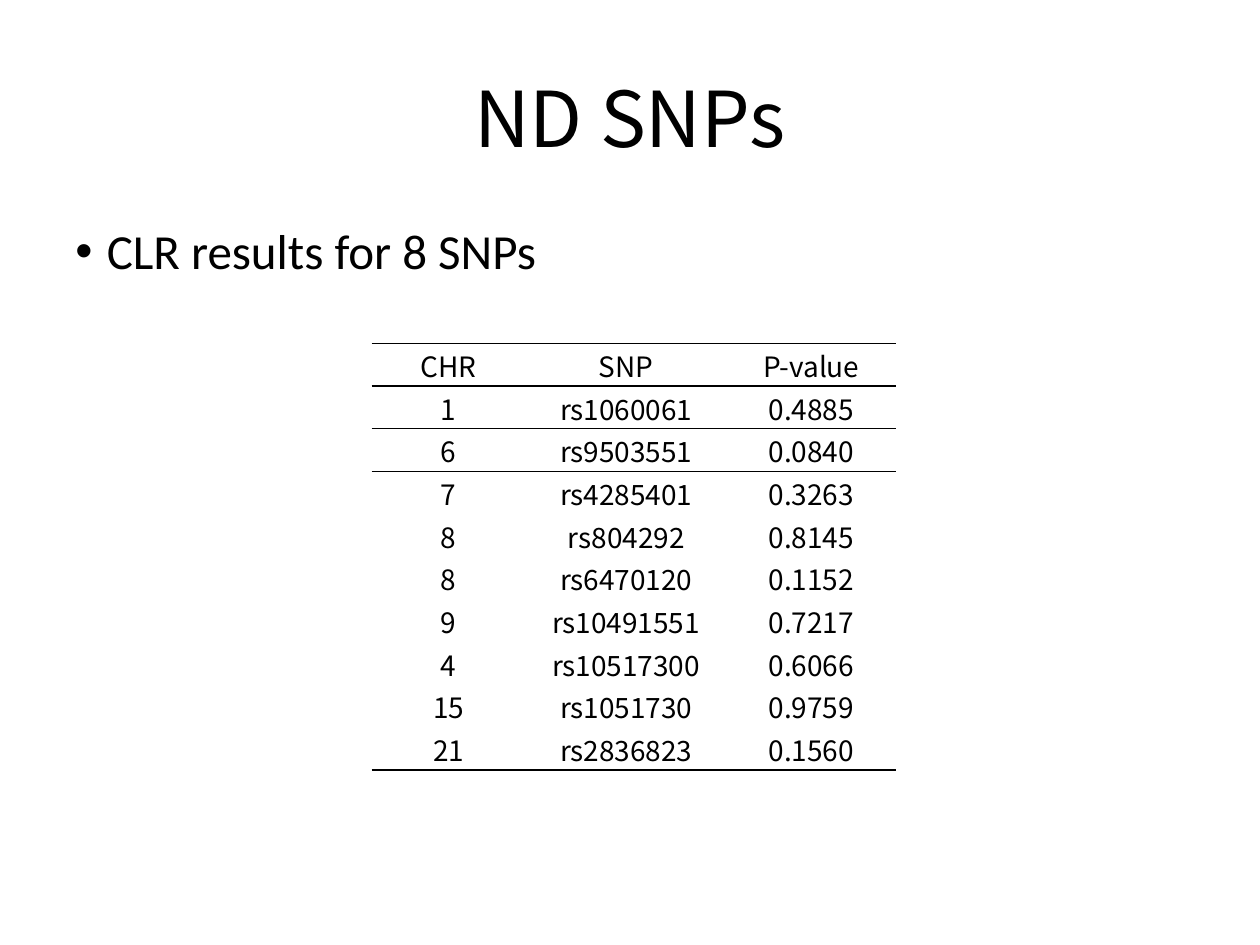
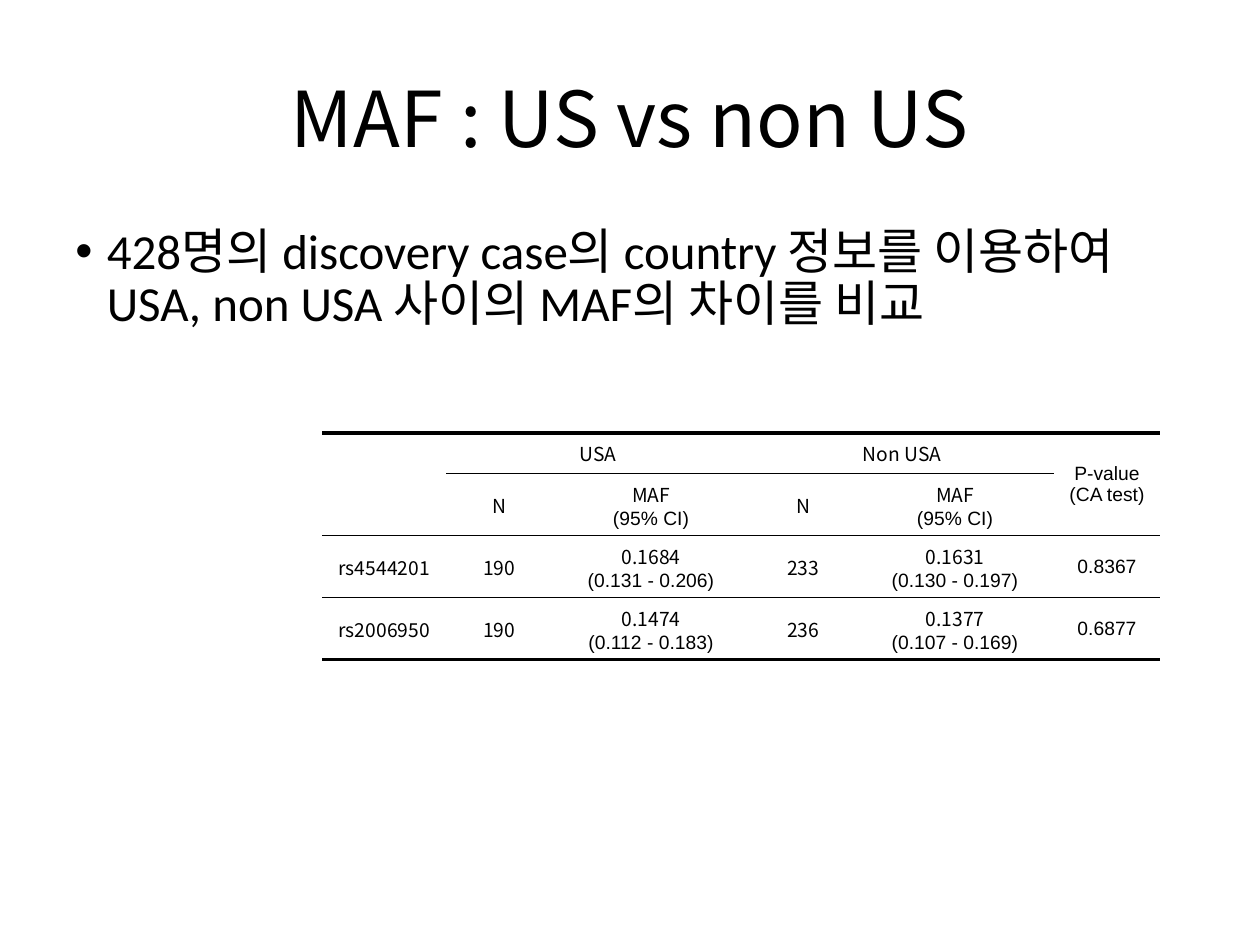
from dataclasses import dataclass

from lxml import etree
from pptx import Presentation
from pptx import util as u
from pptx.dml import color
from pptx.enum import text as t
from pptx.oxml import ns


@dataclass(frozen=True)
class Theme:
    ink: str = "000000"
    heading_font: str = "Noto Sans CJK KR"
    body_font: str = "Calibri"
    detail_font: str = "Arial"
    title_size: float = 44
    body_size: float = 28
    thin: float = 1
    thick: float = 2.25


@dataclass(frozen=True)
class Box:
    left: float
    top: float
    width: float
    height: float

    def lengths(self) -> tuple:
        return tuple(u.Pt(n) for n in (self.left, self.top, self.width, self.height))


@dataclass(frozen=True)
class Rule:
    """Horizontal line above row `edge`, over columns first to last (end excluded)."""
    edge: int
    width: float
    first: int = 0
    last: int = 99


@dataclass(frozen=True)
class Grid:
    left: float
    top: float
    columns: tuple
    heights: tuple
    size: float
    insets: tuple  # left, top, right, bottom
    rows: tuple
    rules: tuple
    merges: tuple = ()
    detail_columns: tuple = ()


THEME = Theme()
TITLE_BOX = Box(36, 21.6, 648, 90)
BODY_BOX = Box(36, 126, 648, 356.4)
BULLET_INDENT = 18
NO_TABLE_STYLE = "{2D5ABB26-0587-4C30-8999-92F81FD0307C}"

SNP_RESULTS = Grid(
    left=212.4, top=196.2, columns=(87.8, 115.2, 96.5), heights=(24.4,) * 10,
    size=16, insets=(0.72, 0.72, 0.72, 0),
    rows=(
        ("CHR", "SNP", "P-value"),
        ("1", "rs1060061", "0.4885"),
        ("6", "rs9503551", "0.0840"),
        ("7", "rs4285401", "0.3263"),
        ("8", "rs804292", "0.8145"),
        ("8", "rs6470120", "0.1152"),
        ("9", "rs10491551", "0.7217"),
        ("4", "rs10517300", "0.6066"),
        ("15", "rs1051730", "0.9759"),
        ("21", "rs2836823", "0.1560"),
    ),
    rules=tuple(Rule(edge, THEME.thin) for edge in (0, 1, 2, 10)),
)

MAF_COMPARISON = Grid(
    left=184.2, top=247.5, columns=(70.8, 60.5, 113.2, 60.5, 113.2, 60.5),
    heights=(22.9, 35.4, 35.4, 35.4), size=11, insets=(7.2, 3.6, 7.2, 3.6),
    rows=(
        ("", "USA", "", "Non USA", "", "P-value\n(CA test)"),
        ("", "N", "MAF\n(95% CI)", "N", "MAF\n(95% CI)", ""),
        ("rs4544201", "190", "0.1684\n(0.131 - 0.206)",
         "233", "0.1631\n(0.130 - 0.197)", "0.8367"),
        ("rs2006950", "190", "0.1474\n(0.112 - 0.183)",
         "236", "0.1377\n(0.107 - 0.169)", "0.6877"),
    ),
    rules=(Rule(0, THEME.thick), Rule(1, THEME.thin, 1, 5), Rule(2, THEME.thin),
           Rule(3, THEME.thin), Rule(4, THEME.thick)),
    merges=((0, 0, 1, 0), (0, 1, 0, 2), (0, 3, 0, 4), (0, 5, 1, 5)),
    detail_columns=(5,),
)


def write(paragraph, words: str, *, size: float, font: str,
          align=t.PP_ALIGN.CENTER) -> None:
    """Put formatted text into a paragraph."""
    paragraph.alignment = align
    run = paragraph.add_run()
    run.text = words
    run.font.size = u.Pt(size)
    run.font.name = font
    run.font.color.rgb = color.RGBColor.from_string(THEME.ink)
    east_asian = etree.SubElement(run.font._element, ns.qn("a:ea"))
    east_asian.set("typeface", THEME.heading_font)


def add_titled_slide(presentation, title: str):
    slide = presentation.slides.add_slide(presentation.slide_layouts[5])
    shape = slide.shapes.title
    shape.left, shape.top, shape.width, shape.height = TITLE_BOX.lengths()
    shape.text_frame.vertical_anchor = t.MSO_ANCHOR.MIDDLE
    write(shape.text_frame.paragraphs[0], title,
          size=THEME.title_size, font=THEME.heading_font)
    return slide


def add_bullet(slide, words: str) -> None:
    frame = slide.shapes.add_textbox(*BODY_BOX.lengths()).text_frame
    frame.word_wrap = True
    paragraph = frame.paragraphs[0]
    paragraph.line_spacing = 0.9
    paragraph.space_before = u.Pt(10)
    write(paragraph, words, size=THEME.body_size, font=THEME.body_font,
          align=t.PP_ALIGN.LEFT)
    # Hanging bullet
    properties = paragraph._p.get_or_add_pPr()
    properties.set("marL", str(u.Pt(BULLET_INDENT)))
    properties.set("indent", str(-u.Pt(BULLET_INDENT)))
    etree.SubElement(properties, ns.qn("a:buFont")).set("typeface", "Arial")
    etree.SubElement(properties, ns.qn("a:buChar")).set("char", "•")


def draw_border(cell, side: str, width: float) -> None:
    line = etree.SubElement(cell._tc.get_or_add_tcPr(), ns.qn(f"a:{side}"),
                            w=str(u.Pt(width)))
    fill = etree.SubElement(line, ns.qn("a:solidFill"))
    etree.SubElement(fill, ns.qn("a:srgbClr")).set("val", THEME.ink)


def fill_cell(cell, grid: Grid, row: int, column: int) -> None:
    cell.vertical_anchor = t.MSO_ANCHOR.MIDDLE
    (cell.margin_left, cell.margin_top,
     cell.margin_right, cell.margin_bottom) = map(u.Pt, grid.insets)
    # Top and bottom borders
    for side, edge in (("lnT", row), ("lnB", row + 1)):
        for rule in grid.rules:
            if rule.edge == edge and rule.first <= column < rule.last:
                draw_border(cell, side, rule.width)
    cell.fill.background()
    # One paragraph per line, details in the second font
    frame = cell.text_frame
    for index, words in enumerate(grid.rows[row][column].split("\n")):
        paragraph = frame.add_paragraph() if index else frame.paragraphs[0]
        detail = index > 0 or column in grid.detail_columns
        write(paragraph, words, size=grid.size,
              font=THEME.detail_font if detail else THEME.heading_font)


def add_grid(slide, grid: Grid) -> None:
    box = Box(grid.left, grid.top, sum(grid.columns), sum(grid.heights))
    table = slide.shapes.add_table(
        len(grid.heights), len(grid.columns), *box.lengths()).table
    table.first_row = table.horz_banding = False
    table._tbl.tblPr.find(ns.qn("a:tableStyleId")).text = NO_TABLE_STYLE
    for column, width in zip(table.columns, grid.columns):
        column.width = u.Pt(width)
    for row, height in zip(table.rows, grid.heights):
        row.height = u.Pt(height)
    for top, left, bottom, right in grid.merges:
        table.cell(top, left).merge(table.cell(bottom, right))
    for row in range(len(grid.heights)):
        for column in range(len(grid.columns)):
            fill_cell(table.cell(row, column), grid, row, column)


def main() -> None:
    presentation = Presentation()
    presentation.slide_width, presentation.slide_height = u.Pt(720), u.Pt(540)

    # Slide 1: test results per SNP
    slide = add_titled_slide(presentation, "ND SNPs")
    add_bullet(slide, "CLR results for 8 SNPs")
    add_grid(slide, SNP_RESULTS)

    # Slide 2: allele frequency by country
    slide = add_titled_slide(presentation, "MAF : US vs non US")
    add_grid(slide, MAF_COMPARISON)
    add_bullet(slide, "428명의 discovery case의 country 정보를 이용하여 "
                      "USA, non USA 사이의 MAF의 차이를 비교")

    presentation.save("out.pptx")


if __name__ == "__main__":
    main()
